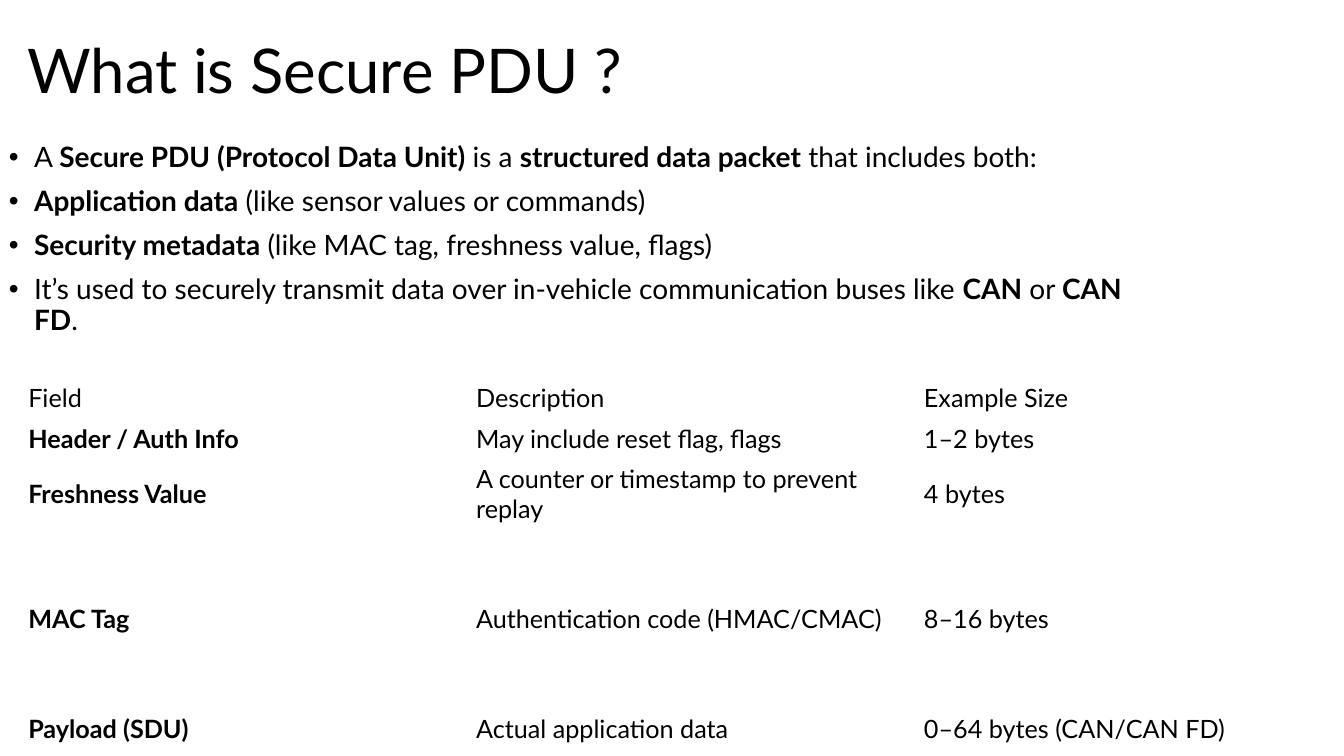
from lxml.etree import SubElement
from pptx import Presentation
from pptx.dml.color import RGBColor
from pptx.enum.text import MSO_ANCHOR, PP_ALIGN
from pptx.oxml.ns import qn
from pptx.util import Pt

FONT = "Lato"
BLACK = "000000"

# Each paragraph is a list of (text, bold) runs
BULLETS = [
    [("A ", False), ("Secure PDU (Protocol Data Unit)", True), (" is a ", False),
     ("structured data packet", True), (" that includes both:", False)],
    [("Application data", True), (" (like sensor values or commands)", False)],
    [("Security metadata", True), (" (like MAC tag, freshness value, flags)", False)],
    [("It’s used to securely transmit data over in-vehicle communication buses like ", False),
     ("CAN", True), (" or ", False), ("CAN FD", True), (".", False)],
]

FIELDS = [
    ("Field", "Description", "Example Size"),
    ("Header / Auth Info", "May include reset flag, flags", "1–2 bytes"),
    ("Freshness Value", "A counter or timestamp to prevent replay", "4 bytes"),
    ("MAC Tag", "Authentication code (HMAC/CMAC)", "8–16 bytes"),
    ("Payload (SDU)", "Actual application data", "0–64 bytes (CAN/CAN FD)"),
]
ROW_HEIGHTS = [28.8, 28.8, 50.4, 128.2, 28.8]
COLUMN_WIDTH = 319.9


def set_values(target, values):
    for name, value in values.items():
        setattr(target, name, value)


def color(hex_string):
    return RGBColor.from_string(hex_string)


def add_run(paragraph, text, size, bold=False):
    run = paragraph.add_run()
    run.text = text
    set_values(run.font, {"name": FONT, "size": Pt(size), "bold": bold})
    run.font.color.rgb = color(BLACK)


def set_bullet(paragraph, indent):
    properties = paragraph._p.get_or_add_pPr()
    properties.set("marL", str(Pt(indent)))
    properties.set("indent", str(-Pt(indent)))
    SubElement(properties, qn("a:buFont")).set("typeface", "Arial")
    SubElement(properties, qn("a:buChar")).set("char", "•")


def add_title(slide, text):
    title = slide.shapes.title
    set_values(title, {"left": Pt(12.25), "top": Pt(0), "width": Pt(828), "height": Pt(104.4)})
    set_values(title.text_frame, {"vertical_anchor": MSO_ANCHOR.MIDDLE, "word_wrap": True})
    paragraph = title.text_frame.paragraphs[0]
    set_values(paragraph, {"alignment": PP_ALIGN.LEFT, "line_spacing": 0.9})
    add_run(paragraph, text, 44)


def add_bullets(slide, bullets):
    box = slide.shapes.add_textbox(Pt(-0.7), Pt(98.6), Pt(828), Pt(342.7))
    frame = box.text_frame
    frame.word_wrap = True
    for index, runs in enumerate(bullets):
        paragraph = frame.add_paragraph() if index else frame.paragraphs[0]
        set_values(paragraph, {"line_spacing": 0.9, "space_before": Pt(10)})
        set_bullet(paragraph, 18)
        for text, bold in runs:
            add_run(paragraph, text, 20, bold)


def add_field_table(slide, rows):
    column_count = len(rows[0])
    frame = slide.shapes.add_table(len(rows), column_count, Pt(13), Pt(270),
                                   Pt(COLUMN_WIDTH * column_count), Pt(sum(ROW_HEIGHTS)))
    table = frame.table
    set_values(table, {"first_row": False, "horz_banding": False})
    for column in table.columns:
        column.width = Pt(COLUMN_WIDTH)
    for row_index, texts in enumerate(rows):
        table.rows[row_index].height = Pt(ROW_HEIGHTS[row_index])
        for column_index, text in enumerate(texts):
            cell = table.cell(row_index, column_index)
            cell.fill.background()
            cell.vertical_anchor = MSO_ANCHOR.MIDDLE
            # Field names below the heading row are bold
            bold = row_index > 0 and column_index == 0
            add_run(cell.text_frame.paragraphs[0], text, 18, bold)


def main():
    presentation = Presentation()
    set_values(presentation, {"slide_width": Pt(960), "slide_height": Pt(540)})
    slide = presentation.slides.add_slide(presentation.slide_layouts.get_by_name("Title Only"))
    add_title(slide, "What is Secure PDU ?")
    add_bullets(slide, BULLETS)
    add_field_table(slide, FIELDS)
    presentation.save("out.pptx")


if __name__ == "__main__":
    main()
